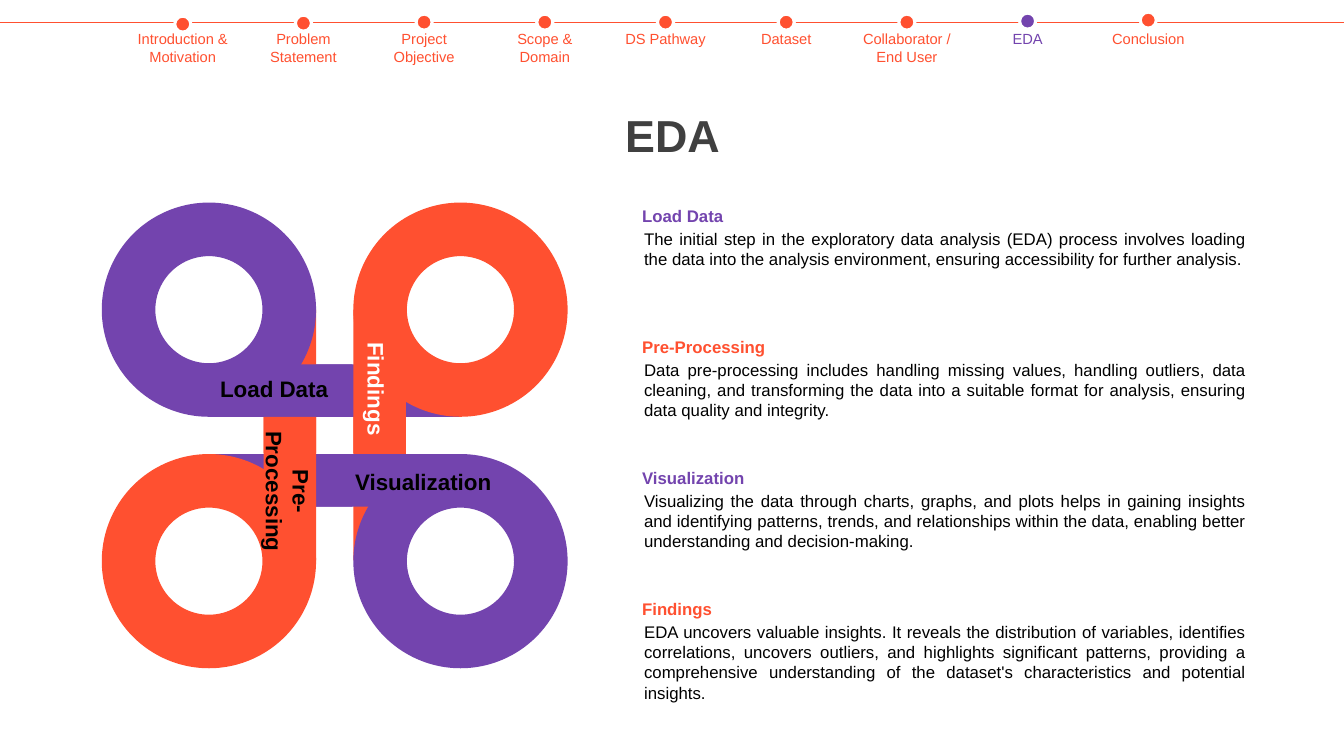
from collections import namedtuple

from pptx import Presentation
from pptx.dml.color import RGBColor
from pptx.enum.shapes import MSO_CONNECTOR as Connector, MSO_SHAPE as Shape
from pptx.enum.text import MSO_ANCHOR as Anchor, PP_ALIGN as Align
from pptx.oxml.ns import qn
from pptx.util import Inches, Pt

WIDTH, HEIGHT = 13.33, 7.5
COLORS = {"orange": "FF5030", "purple": "7344AE", "title": "404040",
          "black": "000000", "white": "FFFFFF"}
FONT = "Arial"
Box = namedtuple("Box", "left top width height")

# Stage name and the height of its dot above or below the timeline
STAGES = [("Introduction & Motivation", 0.02), ("Problem Statement", 0.01),
          ("Project Objective", 0), ("Scope & Domain", 0), ("DS Pathway", 0),
          ("Dataset", 0), ("Collaborator / End User", 0), ("EDA", -0.01),
          ("Conclusion", -0.02)]
CURRENT_STAGE = "EDA"

STEPS = [
    ("Load Data", "purple",
     "The initial step in the exploratory data analysis (EDA) process involves "
     "loading the data into the analysis environment, ensuring accessibility "
     "for further analysis."),
    ("Pre-Processing", "orange",
     "Data pre-processing includes handling missing values, handling outliers, "
     "data cleaning, and transforming the data into a suitable format for "
     "analysis, ensuring data quality and integrity."),
    ("Visualization", "purple",
     "Visualizing the data through charts, graphs, and plots helps in gaining "
     "insights and identifying patterns, trends, and relationships within the "
     "data, enabling better understanding and decision-making."),
    ("Findings", "orange",
     "EDA uncovers valuable insights. It reveals the distribution of variables, "
     "identifies correlations, uncovers outliers, and highlights significant "
     "patterns, providing a comprehensive understanding of the dataset's "
     "characteristics and potential insights."),
]

# Column, row, colour and whether the upright bar lies on top of the ring
ARMS = [(0, 0, "purple", False), (1, 0, "orange", True),
        (1, 1, "purple", False), (0, 1, "orange", True)]

# Text, centre as shares of the knot, width, height, rotation, colour
KNOT_LABELS = [("Visualization", 0.69, 0.6, 2.06, 0.37, 0, "black"),
               ("Load Data", 0.37, 0.4, 1.6, 0.37, 0, "black"),
               ("Pre-Processing", 0.4, 0.62, 1.5, 0.64, 90, "black"),
               ("Findings", 0.59, 0.4, 1.32, 0.37, 90, "white")]


def rgb(color):
    return RGBColor.from_string(COLORS[color])


def place(box):
    return [Inches(length) for length in box]


def write(frame, text, size, color, bold=False, align=Align.LEFT, anchor=Anchor.TOP):
    frame.word_wrap = True
    frame.vertical_anchor = anchor
    frame.text = text
    para = frame.paragraphs[0]
    para.alignment = align
    font = para.runs[0].font
    font.name, font.size, font.bold = FONT, Pt(size), bold
    font.color.rgb = rgb(color)
    return para


def add_text(page, box, text, size, color, rotation=0, **style):
    textbox = page.shapes.add_textbox(*place(box))
    textbox.rotation = rotation
    write(textbox.text_frame, text, size, color, **style)


def add_solid(page, kind, box, color, outline=None):
    shape = page.shapes.add_shape(kind, *place(box))
    shape.shadow.inherit = False
    shape.fill.solid()
    shape.fill.fore_color.rgb = rgb(color)
    if outline:
        shape.line.color.rgb = rgb("white")
        shape.line.width = Pt(outline)
    else:
        shape.line.fill.background()


def add_timeline(page, box):
    axis = box.top + box.height / 3
    line = page.shapes.add_connector(
        Connector.STRAIGHT, *place((box.left, axis, box.left + box.width, axis)))
    line.line.color.rgb = rgb("orange")
    line.line.width = Pt(0.25)
    properties = line._element.spPr
    properties.append(properties.makeelement(qn("a:effectLst"), {}))

    dot, label_width = 0.16, 1.15
    first, pitch = box.left + 0.136 * box.width, 0.0898 * box.width
    for index, (name, drop) in enumerate(STAGES):
        center = first + index * pitch
        color = "purple" if name == CURRENT_STAGE else "orange"
        add_solid(page, Shape.OVAL,
                  Box(center - dot / 2, axis - dot / 2 + drop, dot, dot), color, 2.25)
        add_text(page, Box(center - label_width / 2, axis + 0.03, label_width, 0.45),
                 name, 10.5, color, align=Align.CENTER)


def add_title(page, box):
    title = page.shapes.title
    title.left, title.top, title.width, title.height = place(box)
    para = write(title.text_frame, "EDA", 32, "title", bold=True,
                 align=Align.CENTER, anchor=Anchor.MIDDLE)
    para.line_spacing = 0.9
    para.space_before = Pt(10)


def add_knot(page, box):
    """Four rings, each with an upright and a level bar woven around it."""
    ring = 0.46 * box.width
    band, bar = ring * 0.245, ring * 0.67
    ring_starts = (0, box.width - ring)
    bar_edges = (ring - band, box.width - ring)
    bar_starts = (ring / 2, ring)

    for column, row, color, upright_on_top in ARMS:
        upright = (Shape.RECTANGLE, bar_edges[column], bar_starts[row], band, bar)
        level = (Shape.RECTANGLE, bar_starts[column], bar_edges[row], bar, band)
        donut = (Shape.DONUT, ring_starts[column], ring_starts[row], ring, ring)
        layers = [level, donut, upright] if upright_on_top else [upright, donut, level]
        # The lower bar of a left upright and right level keeps its arm's weave
        under = {(0, 0): "orange", (1, 0): "purple",
                 (1, 1): "orange", (0, 1): "purple"}[column, row]
        for (kind, x, y, width, height), fill in zip(layers, (under, color, color)):
            add_solid(page, kind, Box(box.left + x, box.top + y, width, height), fill)

    for text, x, y, width, height, rotation, color in KNOT_LABELS:
        left = box.left + x * box.width - width / 2
        top = box.top + y * box.height - height / 2
        add_text(page, Box(left, top, width, height), text, 16, color, rotation,
                 bold=True, align=Align.CENTER, anchor=Anchor.MIDDLE)


def add_steps(page, box):
    pitch = box.height / len(STEPS)
    heading, indent, offset = 0.3, 0.02, 0.23
    for index, (name, color, text) in enumerate(STEPS):
        top = box.top + index * pitch
        add_text(page, Box(box.left, top, box.width, heading), name, 12, color,
                 bold=True, anchor=Anchor.MIDDLE)
        add_text(page, Box(box.left + indent, top + offset, box.width - indent,
                           pitch - offset),
                 text, 12, "black", align=Align.JUSTIFY)


def main():
    deck = Presentation()
    deck.slide_width, deck.slide_height = Inches(WIDTH), Inches(HEIGHT)
    page = deck.slides.add_slide(deck.slide_layouts[5])
    add_timeline(page, Box(0, 0, WIDTH, 0.66))
    add_title(page, Box(0.34, 0.97, 12.66, 0.79))
    add_steps(page, Box(6.27, 1.99, 6.19, 5.2))
    add_knot(page, Box(1.01, 2.01, 4.62, 4.62))
    deck.save("out.pptx")


if __name__ == "__main__":
    main()
